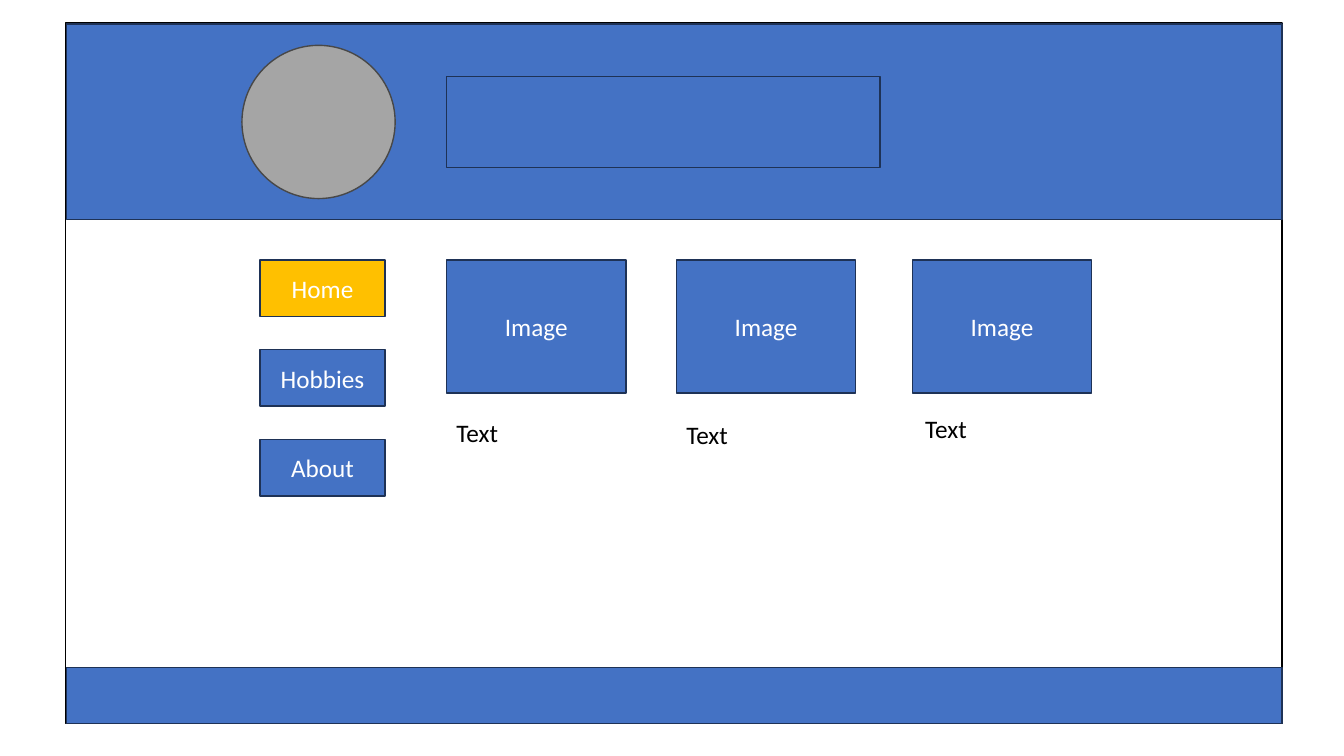
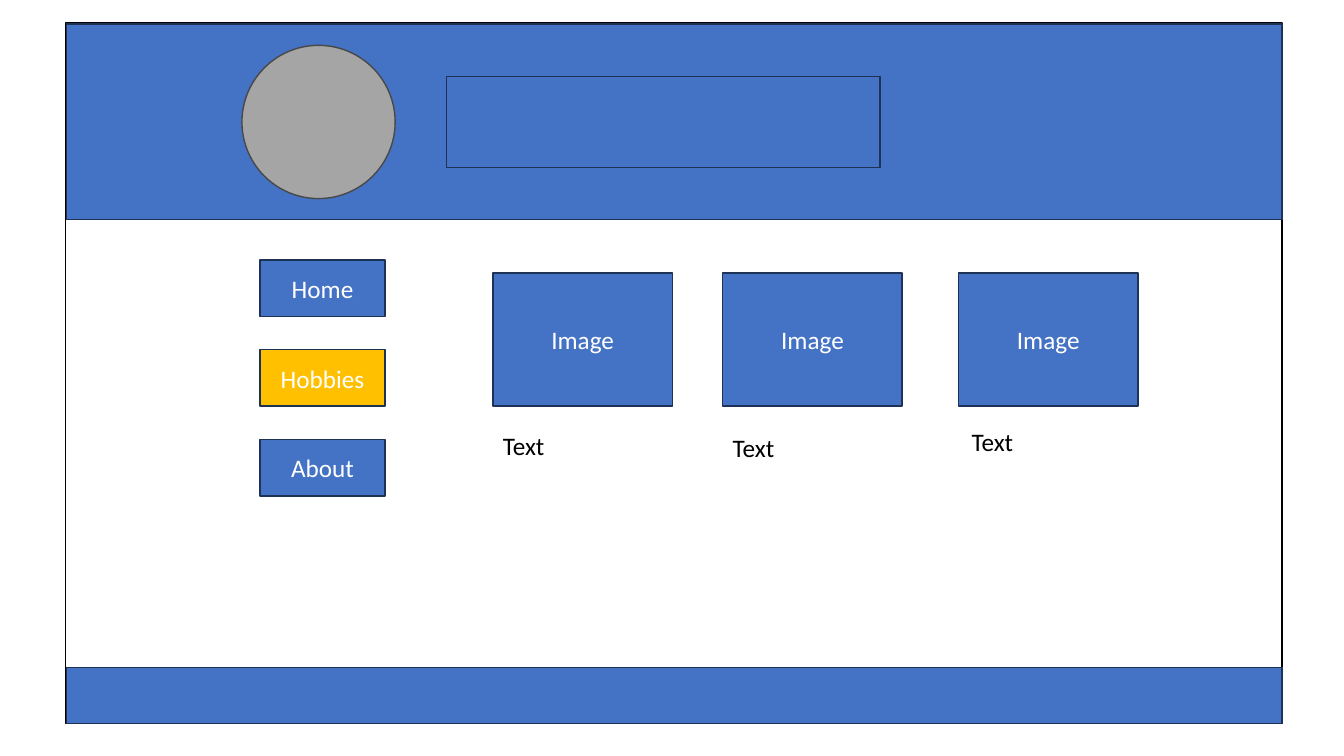
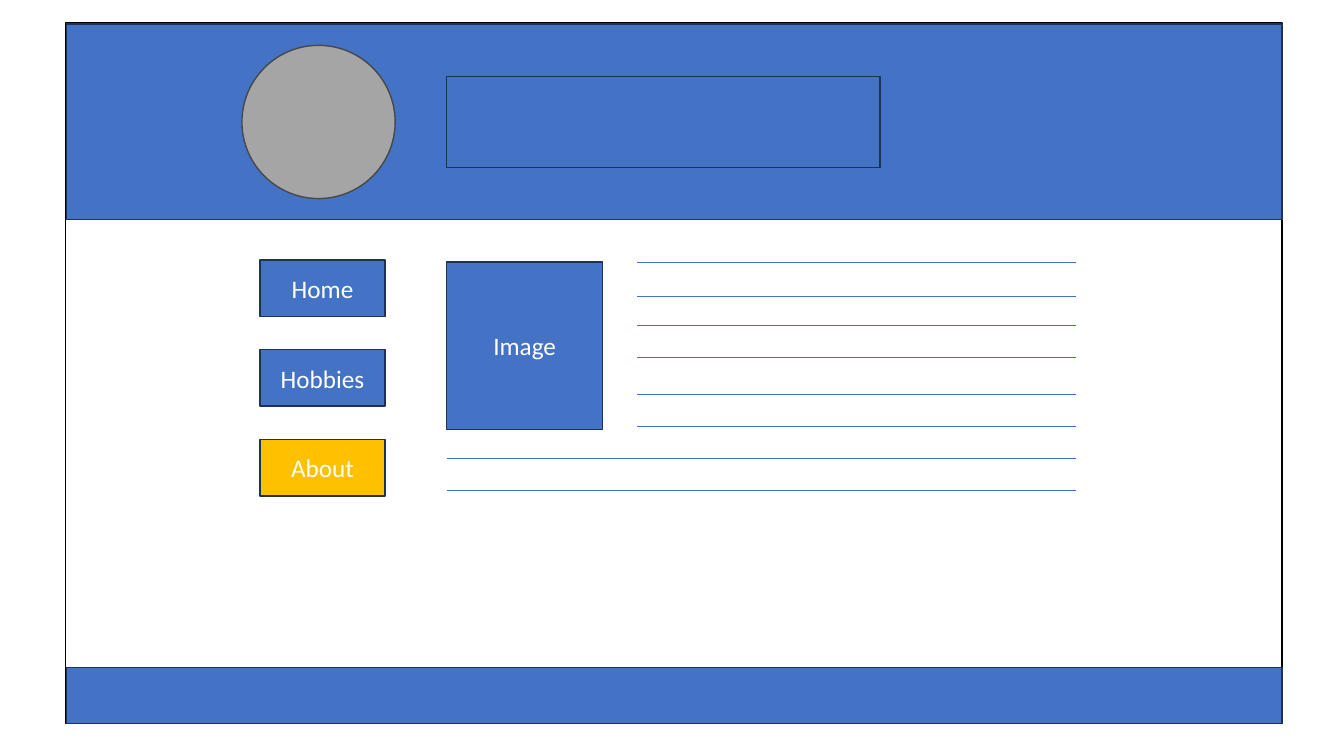
from dataclasses import dataclass
from typing import Any

from lxml.etree import SubElement
from pptx import Presentation
from pptx.dml.color import RGBColor
from pptx.enum.shapes import MSO_CONNECTOR as Connector, MSO_SHAPE as Preset
from pptx.enum.text import MSO_ANCHOR as Anchor, MSO_AUTO_SIZE as AutoSize, PP_ALIGN as Align
from pptx.oxml.ns import qn
from pptx.util import Inches, Pt


@dataclass(frozen=True)
class Theme:
    blue: str = "4472C4"
    navy: str = "1E3256"
    gold: str = "FFC000"
    gray: str = "A5A5A5"
    dark_gray: str = "484848"
    white: str = "FFFFFF"
    black: str = "000000"
    font: str = "Calibri"
    text_size: float = 18
    outline: float = 1
    rule: float = 0.5


@dataclass(frozen=True)
class Box:
    """A place on the grid, in columns and rows."""
    column: float
    row: float
    columns: float
    rows: float


@dataclass(frozen=True)
class Panel:
    box: Box
    fill: str
    line: str
    label: str = ""
    preset: Preset = Preset.RECTANGLE


@dataclass(frozen=True)
class Card:
    """Offsets of an image and its caption from the gallery corner."""
    image_column: float
    caption_column: float
    caption_row: float


THEME = Theme()
CELL = 0.1  # grid cell in inches
SLIDE_COLUMNS, SLIDE_ROWS = 133.33, 75

# Page frame
BACKDROP = Panel(Box(6.5, 2.3, 120.7, 69.5), THEME.white, THEME.black)
HEADER = Panel(Box(6.6, 2.4, 120.6, 19.4), THEME.blue, THEME.navy)
LOGO = Panel(Box(24, 4.5, 15.2, 15.2), THEME.gray, THEME.dark_gray, preset=Preset.OVAL)
BANNER = Panel(Box(44.3, 7.6, 43, 9), THEME.blue, THEME.navy)
FOOTER = Panel(Box(6.6, 66.2, 120.6, 5.6), THEME.blue, THEME.navy)

# Menu and page content
MENU = ("Home", "Hobbies", "About")
MENU_BUTTON = Box(25.8, 25.8, 12.4, 5.6)
MENU_STEP = 8.9
CARDS = (Card(0, 0, 15.1), Card(22.8, 22.8, 15.3), Card(46.2, 46.5, 14.7))
PORTRAIT = Panel(Box(44.3, 26, 15.5, 16.6), THEME.blue, THEME.navy, "Image")
SHORT_RULES = (26, 29.4, 32.3, 35.5, 39.1, 42.3)
LONG_RULES = (45.5, 48.6)
SHORT_LEFT, LONG_LEFT, RULE_RIGHT = 63.2, 44.3, 106.7


def grid(cells: float) -> int:
    return Inches(cells * CELL)


def place(box: Box) -> tuple[int, ...]:
    return tuple(grid(cells) for cells in (box.column, box.row, box.columns, box.rows))


def apply(target: Any, values: dict[str, Any]) -> None:
    for name, value in values.items():
        setattr(target, name, value)


def write(shape: Any, text: str, color: str, align: Align, frame: dict[str, Any]) -> None:
    apply(shape.text_frame, {"word_wrap": True, **frame})
    paragraph = shape.text_frame.paragraphs[0]
    paragraph.alignment = align
    run = paragraph.add_run()
    run.text = text
    apply(run.font, {"name": THEME.font, "size": Pt(THEME.text_size)})
    run.font.color.rgb = RGBColor.from_string(color)


def draw_line_style(line: Any, color: str, width: float) -> None:
    line.color.rgb = RGBColor.from_string(color)
    line.width = Pt(width)


def draw_panel(shapes: Any, panel: Panel) -> None:
    shape = shapes.add_shape(panel.preset, *place(panel.box))
    shape.shadow.inherit = False
    shape.fill.solid()
    shape.fill.fore_color.rgb = RGBColor.from_string(panel.fill)
    draw_line_style(shape.line, panel.line, THEME.outline)
    if panel.label:
        write(shape, panel.label, THEME.white, Align.CENTER,
              {"vertical_anchor": Anchor.MIDDLE})


def draw_caption(shapes: Any, box: Box, text: str) -> None:
    write(shapes.add_textbox(*place(box)), text, THEME.black, Align.LEFT,
          {"auto_size": AutoSize.SHAPE_TO_FIT_TEXT})


def draw_rule(shapes: Any, left: float, row: float) -> None:
    rule = shapes.add_connector(Connector.STRAIGHT, grid(left), grid(row),
                                grid(RULE_RIGHT), grid(row))
    draw_line_style(rule.line, THEME.blue, THEME.rule)
    SubElement(rule._element.spPr, qn("a:effectLst"))


def add_page(presentation: Any, active: str) -> Any:
    """Add a slide with the shared frame and the active menu button in gold."""
    shapes = presentation.slides.add_slide(presentation.slide_layouts[6]).shapes
    for panel in (BACKDROP, HEADER, LOGO, BANNER):
        draw_panel(shapes, panel)
    for index, label in enumerate(MENU):
        box = Box(MENU_BUTTON.column, MENU_BUTTON.row + index * MENU_STEP,
                  MENU_BUTTON.columns, MENU_BUTTON.rows)
        fill = THEME.gold if label == active else THEME.blue
        draw_panel(shapes, Panel(box, fill, THEME.navy, label))
    draw_panel(shapes, FOOTER)
    return shapes


def draw_gallery(shapes: Any, left: float, top: float) -> None:
    gallery = shapes.add_group_shape().shapes
    for card in CARDS:
        image = Box(left + card.image_column, top, 17.8, 13.2)
        draw_panel(gallery, Panel(image, THEME.blue, THEME.navy, "Image"))
    for card in CARDS:
        caption = Box(left + card.caption_column, top + card.caption_row, 17.1, 4)
        draw_caption(gallery, caption, "Text")


def draw_profile(shapes: Any) -> None:
    draw_panel(shapes, PORTRAIT)
    for left, rows in ((SHORT_LEFT, SHORT_RULES), (LONG_LEFT, LONG_RULES)):
        for row in rows:
            draw_rule(shapes, left, row)


def main() -> None:
    presentation = Presentation()
    apply(presentation, {"slide_width": grid(SLIDE_COLUMNS),
                         "slide_height": grid(SLIDE_ROWS)})
    home, hobbies, about = (add_page(presentation, label) for label in MENU)
    draw_gallery(home, 44.3, 25.8)
    draw_gallery(hobbies, 48.9, 27.1)
    draw_profile(about)
    presentation.save("out.pptx")


if __name__ == "__main__":
    main()
